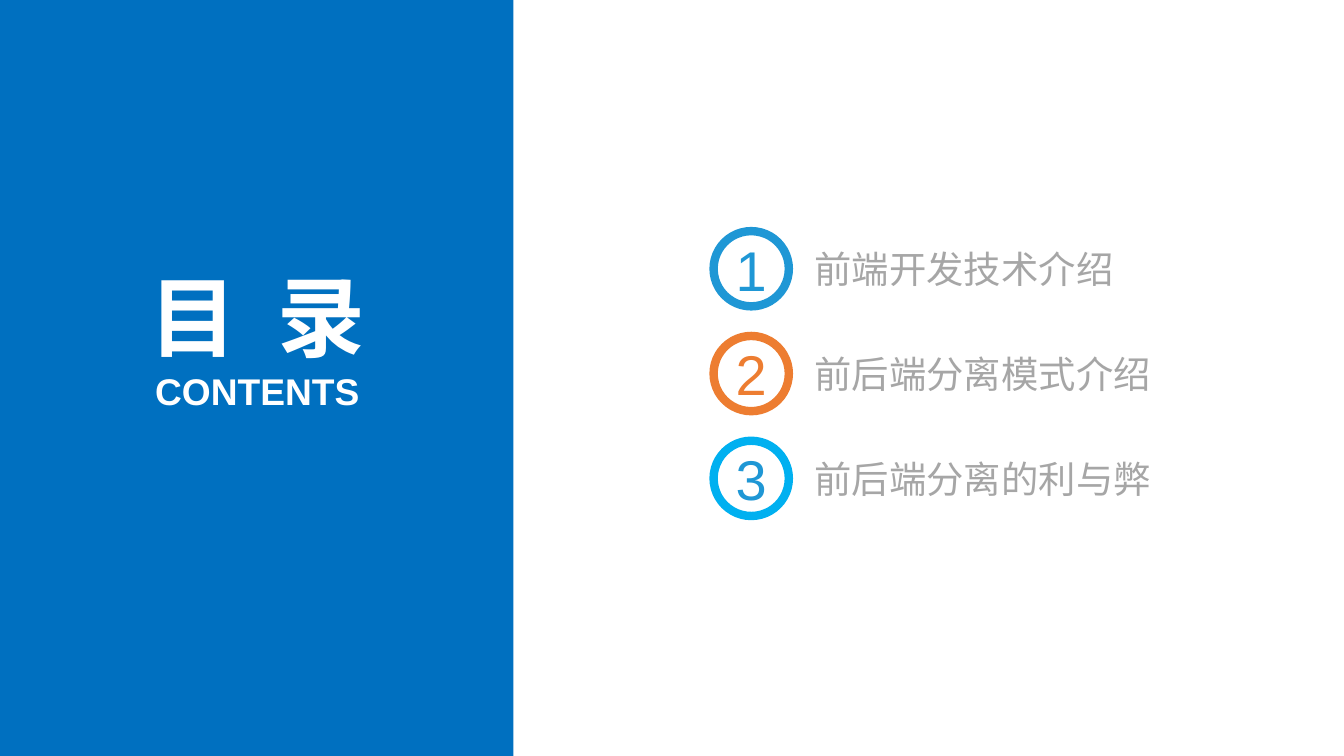
"""Build a contents slide with a blue title panel and three numbered topics."""
from pptx import Presentation
from pptx.dml.color import RGBColor
from pptx.enum.shapes import MSO_SHAPE
from pptx.enum.text import MSO_ANCHOR, PP_ALIGN
from pptx.util import Inches, Pt

RECT, OVAL = MSO_SHAPE.RECTANGLE, MSO_SHAPE.OVAL
LEFT, CENTER = PP_ALIGN.LEFT, PP_ALIGN.CENTER
TOP, MIDDLE = MSO_ANCHOR.TOP, MSO_ANCHOR.MIDDLE

WIDTH = 10
HEIGHT = WIDTH * 9 / 16
WHITE, BLUE, GRAY = "FFFFFF", "0070C0", "A6A6A6"
PANEL_W = 3.82

TITLES = [
    ("目  录", (0.97, 1.95, 1.89, 0.79), 47, MIDDLE),
    ("CONTENTS", (0.98, 2.74, 1.87, 0.34), 19.9, TOP),
]
TOPICS = [
    ("前端开发技术介绍", "1F97D5", "1F97D5"),
    ("前后端分离模式介绍", "ED7D31", "ED7D31"),
    ("前后端分离的利与弊", "00B0F0", "1F97D5"),
]
CIRCLE_X, CIRCLE_Y, CIRCLE_D, PITCH = 5.31, 1.72, 0.56, 0.78
TOPIC_X, TOPIC_W, TOPIC_H = 6.06, 2.66, 0.34


def rgb(color):
    return RGBColor.from_string(color)


def add_shape(slide, kind, box, fill, line=None):
    sp = slide.shapes.add_shape(kind, *map(Inches, box))
    sp.shadow.inherit = False
    sp.fill.solid()
    sp.fill.fore_color.rgb = rgb(fill)
    if line:
        sp.line.color.rgb = rgb(line)
        sp.line.width = Pt(4.5)
    else:
        sp.line.fill.background()
    return sp


def set_text(sp, text, size, color, align=CENTER, anchor=MIDDLE, bold=False):
    tf = sp.text_frame
    frame = {"word_wrap": True, "vertical_anchor": anchor, "margin_left": 0,
             "margin_right": 0, "margin_top": 0, "margin_bottom": 0}
    for name, value in frame.items():
        setattr(tf, name, value)
    p = tf.paragraphs[0]
    p.alignment = align
    r = p.add_run()
    r.text = text
    for name, value in {"name": "Arial", "size": Pt(size), "bold": bold}.items():
        setattr(r.font, name, value)
    r.font.color.rgb = rgb(color)


def add_text(slide, box, *args, **kwargs):
    set_text(slide.shapes.add_textbox(*map(Inches, box)), *args, **kwargs)


def main():
    prs = Presentation()
    prs.slide_width, prs.slide_height = Inches(WIDTH), Inches(HEIGHT)
    slide = prs.slides.add_slide(prs.slide_layouts[6])

    add_shape(slide, RECT, (0, 0, PANEL_W, HEIGHT), BLUE)
    for text, box, size, anchor in TITLES:
        add_text(slide, box, text, size, WHITE, anchor=anchor, bold=True)

    for i, (topic, ring, digit) in enumerate(TOPICS):
        y = CIRCLE_Y + i * PITCH
        circle = add_shape(slide, OVAL, (CIRCLE_X, y, CIRCLE_D, CIRCLE_D), WHITE, ring)
        set_text(circle, str(i + 1), 30, digit)
        topic_y = y + (CIRCLE_D - TOPIC_H) / 2
        add_text(slide, (TOPIC_X, topic_y, TOPIC_W, TOPIC_H), topic, 20, GRAY, align=LEFT)

    prs.save("out.pptx")


if __name__ == "__main__":
    main()
